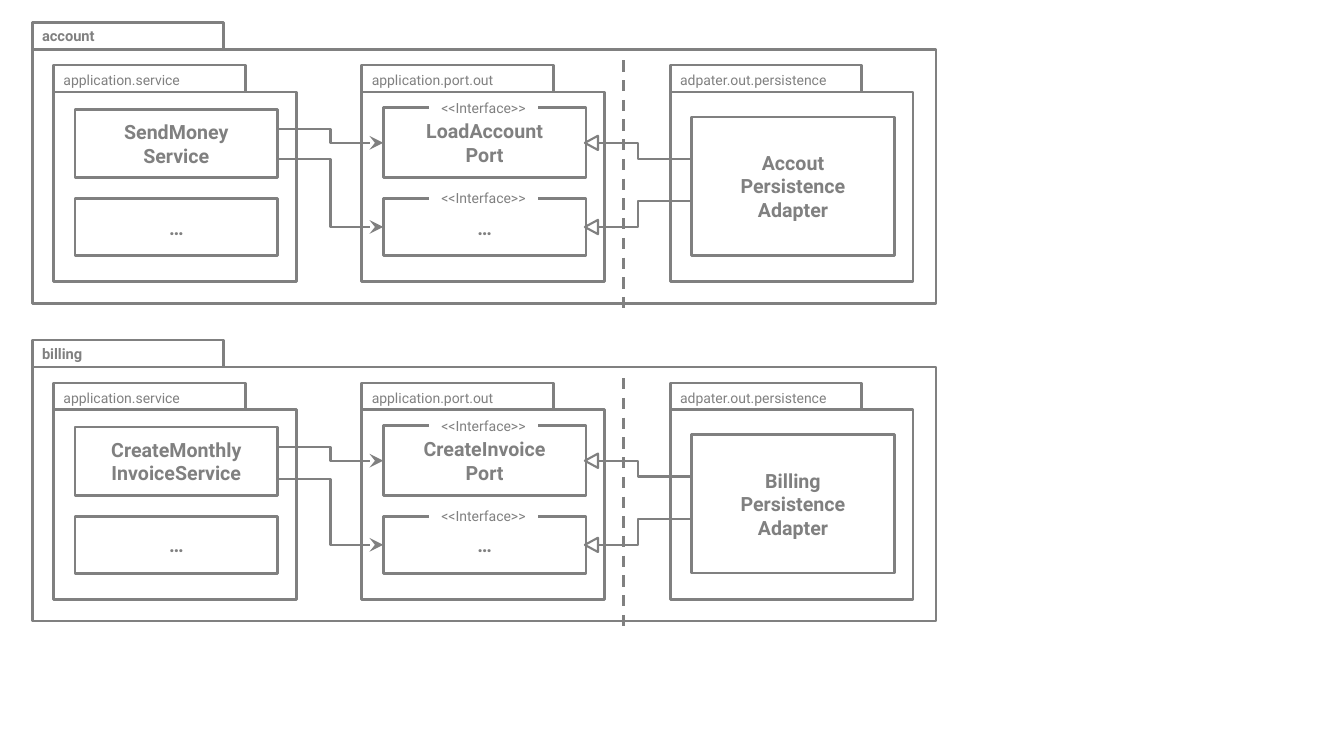
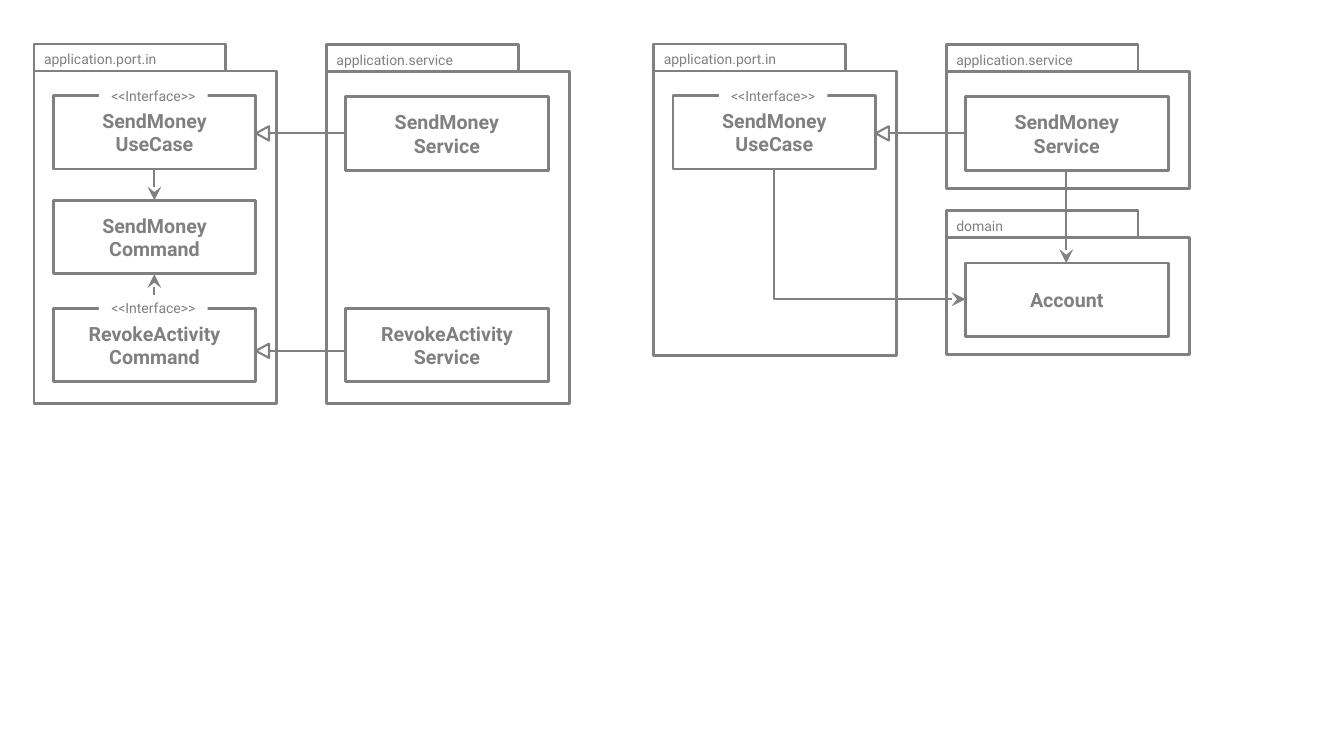
from lxml import etree
from pptx import Presentation
from pptx.dml.color import RGBColor
from pptx.enum.dml import MSO_LINE
from pptx.enum.shapes import MSO_CONNECTOR, MSO_SHAPE
from pptx.enum.text import MSO_ANCHOR, PP_ALIGN
from pptx.oxml.ns import qn
from pptx.util import Cm, Pt

RECT, TRIANGLE = MSO_SHAPE.RECTANGLE, MSO_SHAPE.ISOSCELES_TRIANGLE
STRAIGHT, ELBOW = MSO_CONNECTOR.STRAIGHT, MSO_CONNECTOR.ELBOW
DASH = MSO_LINE.DASH
LEFT, CENTER, MIDDLE = PP_ALIGN.LEFT, PP_ALIGN.CENTER, MSO_ANCHOR.MIDDLE

FONT, GRAY, WHITE = "Roboto", "808080", "FFFFFF"
TAB_W, TAB_H = 4.83, 0.68
PACKAGE_W, CLASS_W = 6.12, 5.11
LABEL_W, LABEL_H = 2.74, 0.69
HEAD_W, HEAD_H = 0.36, 0.33

COMPONENTS = [
    {"name": "account", "service": "SendMoney\nService", "port": "LoadAccount\nPort",
     "adapter": "Accout\nPersistence\nAdapter", "second_exit": 4.01},
    {"name": "billing", "service": "CreateMonthly\nInvoiceService", "port": "CreateInvoice\nPort",
     "adapter": "Billing\nPersistence\nAdapter", "second_exit": 4.07},
]
COMPONENT_PITCH = 8.01
PACKAGE_X, PACKAGE_PITCH, PACKAGE_Y, PACKAGE_H = 1.35, 7.77, 2.32, 4.78
PACKAGE_NAMES = ["application.service", "application.port.out", "adpater.out.persistence"]

RIGHT_X = 15.62
USE_CASE_PACKAGES = [
    (0.86, 1.79, 8.38, "application.port.in", [
        (2.41, "SendMoney\nUseCase", True),
        (5.05, "SendMoney\nCommand", False),
        (7.77, "RevokeActivity\nCommand", True)]),
    (8.23, 1.8, 8.36, "application.service", [
        (2.44, "SendMoney\nService", False),
        (7.77, "RevokeActivity\nService", False)]),
    (0.86 + RIGHT_X, 1.79, 7.16, "application.port.in", [
        (2.41, "SendMoney\nUseCase", True)]),
    (8.23 + RIGHT_X, 1.8, 2.95, "application.service", [
        (2.44, "SendMoney\nService", False)]),
    (8.23 + RIGHT_X, 5.99, 2.95, "domain", [
        (6.63, "Account", False)]),
]
IMPLEMENTS = [(0, 3.36), (0, 8.84), (RIGHT_X, 3.36)]
USES = [(3.89, 4.27, 5.05), (3.89, 7.43, 6.91), (26.87, 4.29, 6.63)]


def rgb(value):
    return RGBColor.from_string(value)


def write(sp, text, size=14, bold=False, align=CENTER, top=0):
    tf = sp.text_frame
    tf.word_wrap = True
    tf.vertical_anchor = MIDDLE
    tf.margin_left = tf.margin_right = Cm(0.25)
    tf.margin_top, tf.margin_bottom = Cm(top), 0
    for i, line in enumerate(text.split("\n")):
        p = tf.paragraphs[0] if i == 0 else tf.add_paragraph()
        p.alignment = align
        r = p.add_run()
        r.text = line
        r.font.name, r.font.size, r.font.bold = FONT, Pt(size), bold
        r.font.color.rgb = rgb(GRAY)


def shape(s, x, y, w, h, kind=RECT, fill=None, line=2):
    sp = s.shapes.add_shape(kind, Cm(x), Cm(y), Cm(w), Cm(h))
    sp.shadow.inherit = False
    if fill:
        sp.fill.solid()
        sp.fill.fore_color.rgb = rgb(fill)
    else:
        sp.fill.background()
    if line:
        sp.line.color.rgb = rgb(GRAY)
        sp.line.width = Pt(line)
    else:
        sp.line.fill.background()
    return sp


def connect(s, x1, y1, x2, y2, kind=STRAIGHT, width=1.5, arrow=False, dash=None):
    c = s.shapes.add_connector(kind, Cm(x1), Cm(y1), Cm(x2), Cm(y2))
    c.line.color.rgb = rgb(GRAY)
    c.line.width = Pt(width)
    if dash:
        c.line.dash_style = dash
    spPr = c._element.spPr
    if arrow:
        etree.SubElement(spPr.find(qn("a:ln")), qn("a:tailEnd"), type="stealth", w="lg", len="lg")
    etree.SubElement(spPr, qn("a:effectLst"))
    return c


def connect_corner(s, x1, y1, x2, y2):
    cx, cy = (x1 + x2) / 2, (y1 + y2) / 2
    half_w, half_h = (x2 - x1) / 2, (y2 - y1) / 2
    c = connect(s, cx + half_h, cy - half_w, cx - half_h, cy + half_w, ELBOW, arrow=True)
    spPr = c._element.spPr
    spPr.find(qn("a:xfrm")).set("rot", str(270 * 60000))
    spPr.find(qn("a:prstGeom")).set("prst", "bentConnector2")


def implement(s, x1, y1, x2, y2, kind=STRAIGHT):
    connect(s, x1, y1, x2, y2, kind)
    sp = shape(s, x2 + HEAD_H / 2 - HEAD_W / 2, y2 - HEAD_H / 2, HEAD_W, HEAD_H,
               TRIANGLE, WHITE, 1.5)
    sp.rotation = 270


def package(s, x, y, w, h, name, size=10, bold=False, top=0.08):
    shape(s, x, y, w, h)
    write(shape(s, x, y - TAB_H, TAB_W, TAB_H), name, size, bold, LEFT, top)


def class_box(s, x, y, h, text, interface=False):
    write(shape(s, x, y, CLASS_W, h), text, bold=True)
    if interface:
        label = shape(s, x + (CLASS_W - LABEL_W) / 2 - 0.03, y - LABEL_H / 2,
                      LABEL_W, LABEL_H, fill=WHITE, line=None)
        write(label, "<<Interface>>", 10)


def component(s, dy, item):
    package(s, 0.81, 1.24 + dy, 22.78, 6.4, item["name"], 10.5, True, 0)
    columns = [PACKAGE_X + i * PACKAGE_PITCH for i in range(len(PACKAGE_NAMES))]
    for x, name in zip(columns, PACKAGE_NAMES):
        package(s, x, PACKAGE_Y + dy, PACKAGE_W, PACKAGE_H, name)
    service_x, port_x, adapter_x = [x + 0.54 for x in columns]
    class_box(s, service_x, 2.75 + dy, 1.73, item["service"])
    class_box(s, service_x, 5 + dy, 1.45, "…")
    class_box(s, port_x, 2.72 + dy, 1.75, item["port"], True)
    class_box(s, port_x, 5 + dy, 1.45, "…", True)
    class_box(s, adapter_x, 2.95 + dy, 3.48, item["adapter"])
    connect(s, 15.72, 1.52 + dy, 15.72, 7.9 + dy, width=2, dash=DASH)
    port_rows = [3.6 + dy, 5.72 + dy]
    for start, end in zip([3.25, item["second_exit"]], port_rows):
        connect(s, service_x + CLASS_W, start + dy, port_x, end, ELBOW, arrow=True)
    for start, end in zip([4, 5.06], port_rows):
        implement(s, adapter_x, start + dy, port_x + CLASS_W - 0.03, end, ELBOW)


def use_cases(s):
    for x, y, h, name, classes in USE_CASE_PACKAGES:
        package(s, x, y, PACKAGE_W, h, name)
        for class_y, text, interface in classes:
            class_box(s, x + 0.48, class_y, 1.85, text, interface)
    for dx, y in IMPLEMENTS:
        implement(s, 8.71 + dx, y, 6.45 + dx, y)
    for x, start, end in USES:
        connect(s, x, start, x, end, arrow=True)
    connect_corner(s, 19.51, 4.27, 24.33, 7.54)


def main():
    prs = Presentation()
    prs.slide_width, prs.slide_height = Cm(33.87), Cm(19.05)
    blank = prs.slide_layouts[6]
    s = prs.slides.add_slide(blank)
    for i, item in enumerate(COMPONENTS):
        component(s, i * COMPONENT_PITCH, item)
    use_cases(prs.slides.add_slide(blank))
    prs.save("out.pptx")


if __name__ == "__main__":
    main()
